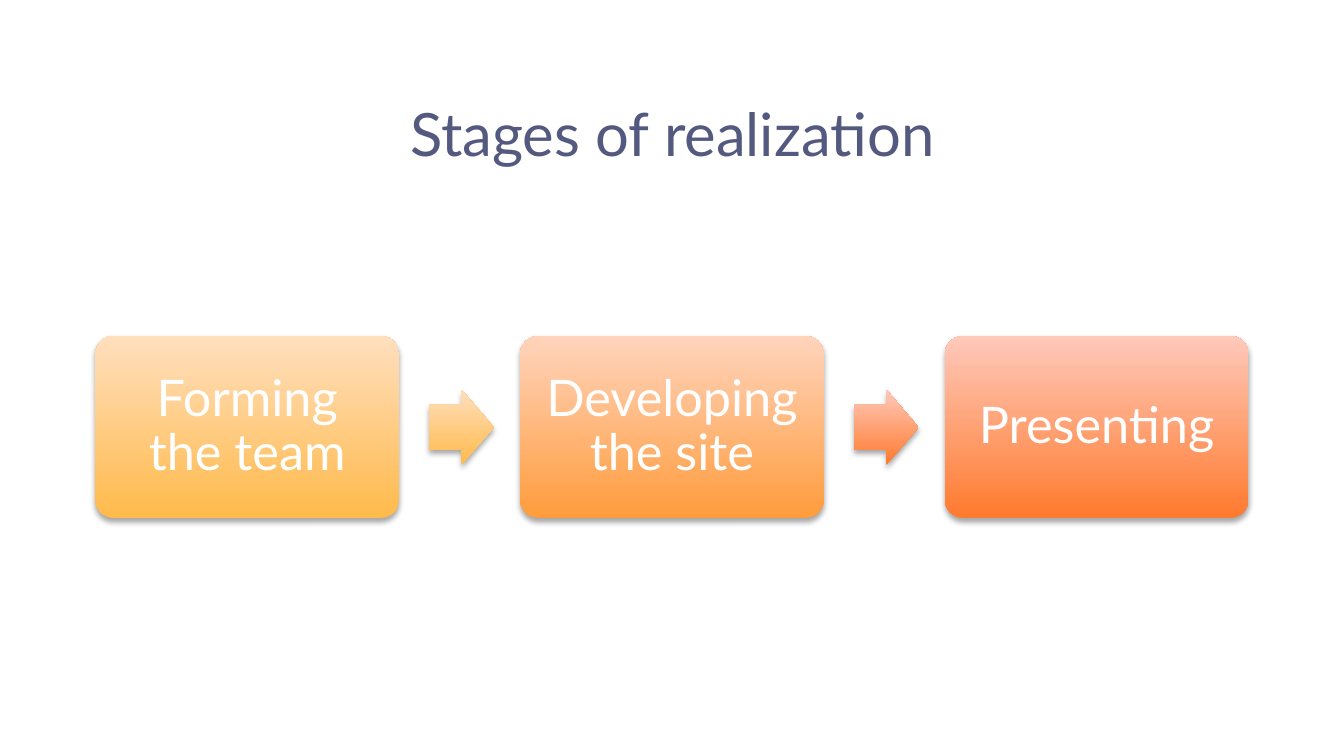
from lxml.etree import SubElement as Sub
from pptx import Presentation
from pptx.dml.color import RGBColor as Rgb
from pptx.enum.shapes import MSO_SHAPE as Kind
from pptx.enum.text import MSO_ANCHOR as Anchor, PP_ALIGN as Align
from pptx.oxml.ns import qn
from pptx.util import Pt

PX = 4572  # 200 px to the inch
HUES = {
    "title": "54597F",
    "text": "FFFFFF",
    "shadow": "000000",
    "gold": ("FFBA4B", "FFDFBE"),
    "orange": ("FF9C3D", "FFD4BC"),
    "red": ("FF7A2E", "FFC9BB"),
}


def write(shape, text, size, hue, pad, anchor=Anchor.MIDDLE, line=None):
    frame = shape.text_frame
    frame.word_wrap = True
    frame.vertical_anchor = anchor
    frame.margin_left = frame.margin_right = pad * PX
    frame.margin_top = frame.margin_bottom = pad * PX
    para = frame.paragraphs[0]
    para.alignment = Align.CENTER
    para.line_spacing = line
    run = para.add_run()
    run.text = text
    run.font.name = "Lato"
    run.font.size = Pt(size)
    run.font.color.rgb = Rgb.from_string(HUES[hue])


class Deck:
    def __init__(self, wide, high):
        self.show = Presentation()
        self.show.slide_width, self.show.slide_height = wide * PX, high * PX
        self.slide = self.show.slides.add_slide(self.show.slide_layouts[5])

    def title(self, text, x, y, w, h):
        shape = self.slide.shapes.title
        shape.left, shape.top = x * PX, y * PX
        shape.width, shape.height = w * PX, h * PX
        write(shape, text, 32, "title", 20, Anchor.TOP)

    def shape(self, kind, x, y, w, h, hue, adjust):
        shape = self.slide.shapes.add_shape(kind, x * PX, y * PX, w * PX, h * PX)
        for i, value in enumerate(adjust):
            shape.adjustments[i] = value
        shape.line.fill.background()
        shape.fill.gradient()
        shape.fill.gradient_angle = 90
        for stop, shade in zip(shape.fill.gradient_stops, HUES[hue]):
            stop.color.rgb = Rgb.from_string(shade)
        self.shade(shape)
        return shape

    def shade(self, shape):
        shape.shadow.inherit = False
        effects = shape._element.spPr.find(qn("a:effectLst"))
        outer = Sub(effects, qn("a:outerShdw"), blurRad=str(Pt(3.1)),
                    dist=str(Pt(1.8)), dir="5400000", rotWithShape="0")
        color = Sub(outer, qn("a:srgbClr"), val=HUES["shadow"])
        Sub(color, qn("a:alpha"), val="35000")

    def stage(self, text, x, y, w, h, hue):
        box = self.shape(Kind.ROUNDED_RECTANGLE, x, y, w, h, hue, [0.1])
        write(box, text, 27, "text", 22, line=0.9)

    def arrow(self, x, y, w, h, hue):
        self.shape(Kind.RIGHT_ARROW, x, y, w, h, hue, [0.6, 0.5])


def main():
    deck = Deck(2000, 1125)
    deck.title("Stages of realization", 22, 124, 1958, 144)

    # Stages in a row, with an arrow after each but the last
    stages = ["Forming the team", "Developing the site", "Presenting"]
    boxes = ["gold", "orange", "red"]
    arrows = ["gold", "red"]
    left, step = 142, 632
    for i, (text, hue) in enumerate(zip(stages, boxes)):
        x = left + i * step
        deck.stage(text, x, 500, 452, 271, hue)
        if i < len(arrows):
            deck.arrow(x + 497, 580, 96, 112, arrows[i])

    deck.show.save("out.pptx")


if __name__ == "__main__":
    main()
